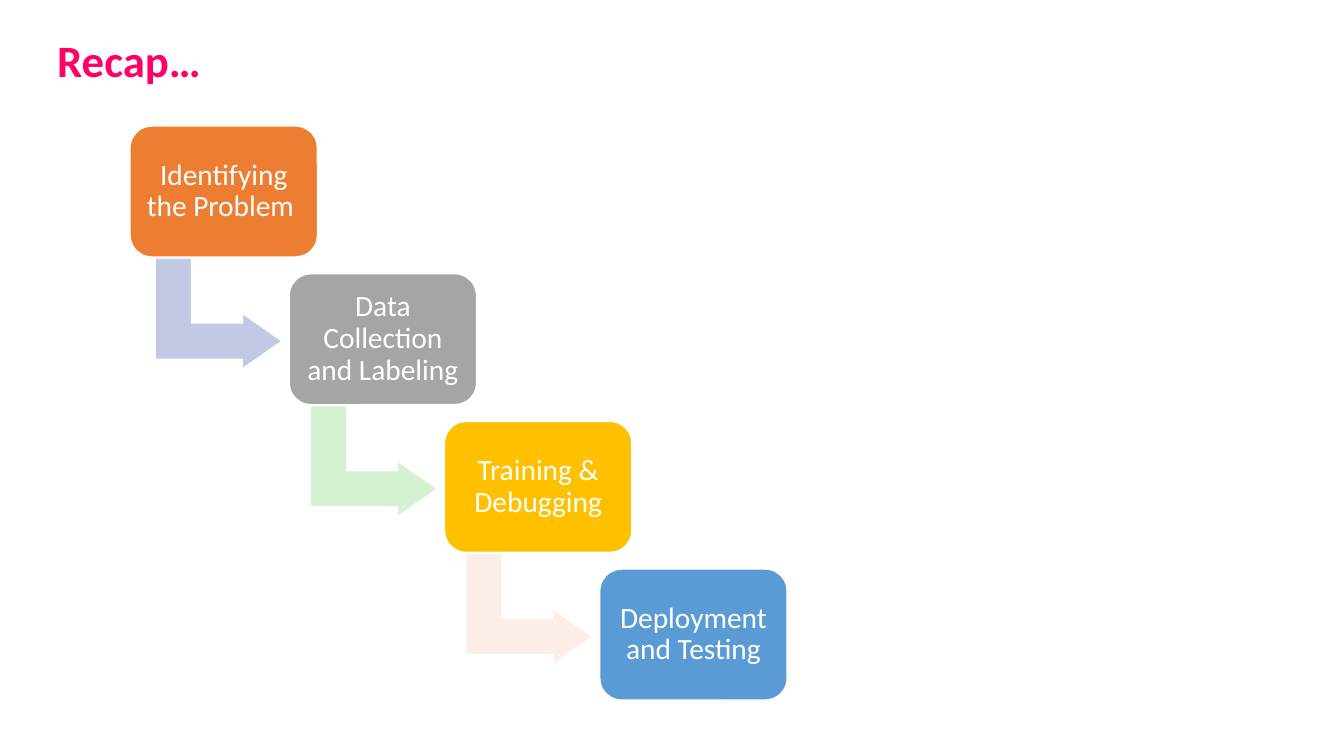
from pptx import Presentation
from pptx.dml.color import RGBColor
from pptx.enum import shapes, text
from pptx.util import Pt

FONT = "Calibri"
WHITE = "FFFFFF"
STEP_X, STEP_Y = 110.9, 105.5

# Label, box left, box fill, fill of the arrow to the next box
STAGES = [
    ("Identifying the Problem ", 92.9, "ED7D31", "C1C9E4"),
    ("Data Collection and Labeling", 206.6, "A5A5A5", "D2F2D2"),
    ("Training & Debugging", 317.5, "FFC000", "FCEDE8"),
    ("Deployment and Testing", 428.4, "5B9BD5", None),
]


def color(code):
    return RGBColor.from_string(code)


def write(frame, words, size=21, fill=WHITE, bold=False,
          align=text.PP_ALIGN.CENTER, pad=(6.5, 6.5)):
    frame.word_wrap = True
    frame.vertical_anchor = text.MSO_ANCHOR.MIDDLE
    frame.margin_left = frame.margin_right = Pt(pad[0])
    frame.margin_top = frame.margin_bottom = Pt(pad[1])
    para = frame.paragraphs[0]
    para.alignment = align
    para.line_spacing = 0.9
    run = para.add_run()
    run.text = words
    run.font.name = FONT
    run.font.size = Pt(size)
    run.font.bold = bold
    run.font.color.rgb = color(fill)


def add_form(slide, kind, left, top, width, height, fill, adjust):
    form = slide.shapes.add_shape(kind, Pt(left), Pt(top), Pt(width), Pt(height))
    form.shadow.inherit = False
    form.fill.solid()
    form.fill.fore_color.rgb = color(fill)
    form.line.color.rgb = color(WHITE)
    form.line.width = Pt(1)
    for i, value in enumerate(adjust):
        form.adjustments[i] = value
    return form


def add_arrow(slide, left, top, fill):
    arrow = add_form(slide, shapes.MSO_SHAPE.BENT_UP_ARROW, left, top,
                     79.2, 90.7, fill, (0.328, 0.25, 0.358))
    arrow.rotation = 90


def add_box(slide, left, top, fill, label):
    box = add_form(slide, shapes.MSO_SHAPE.ROUNDED_RECTANGLE, left, top,
                   133.9, 93.6, fill, (0.167,))
    write(box.text_frame, label)


def add_title(slide, words):
    box = slide.shapes.add_textbox(Pt(33.8), Pt(18), Pt(828), Pt(54))
    write(box.text_frame, words, size=32, fill="FF0066", bold=True,
          align=text.PP_ALIGN.LEFT, pad=(7.2, 3.6))


def main():
    deck = Presentation()
    deck.slide_width, deck.slide_height = Pt(960), Pt(540)
    slide = deck.slides.add_slide(deck.slide_layouts[6])

    # Staircase of stages, each arrow behind its box
    for i, (label, left, fill, tint) in enumerate(STAGES):
        if tint:
            add_arrow(slide, 116.6 + i * STEP_X, 178.5 + i * STEP_Y, tint)
        add_box(slide, left, 90 + i * STEP_Y, fill, label)

    # Heading
    add_title(slide, "Recap…")
    deck.save("out.pptx")


if __name__ == "__main__":
    main()
